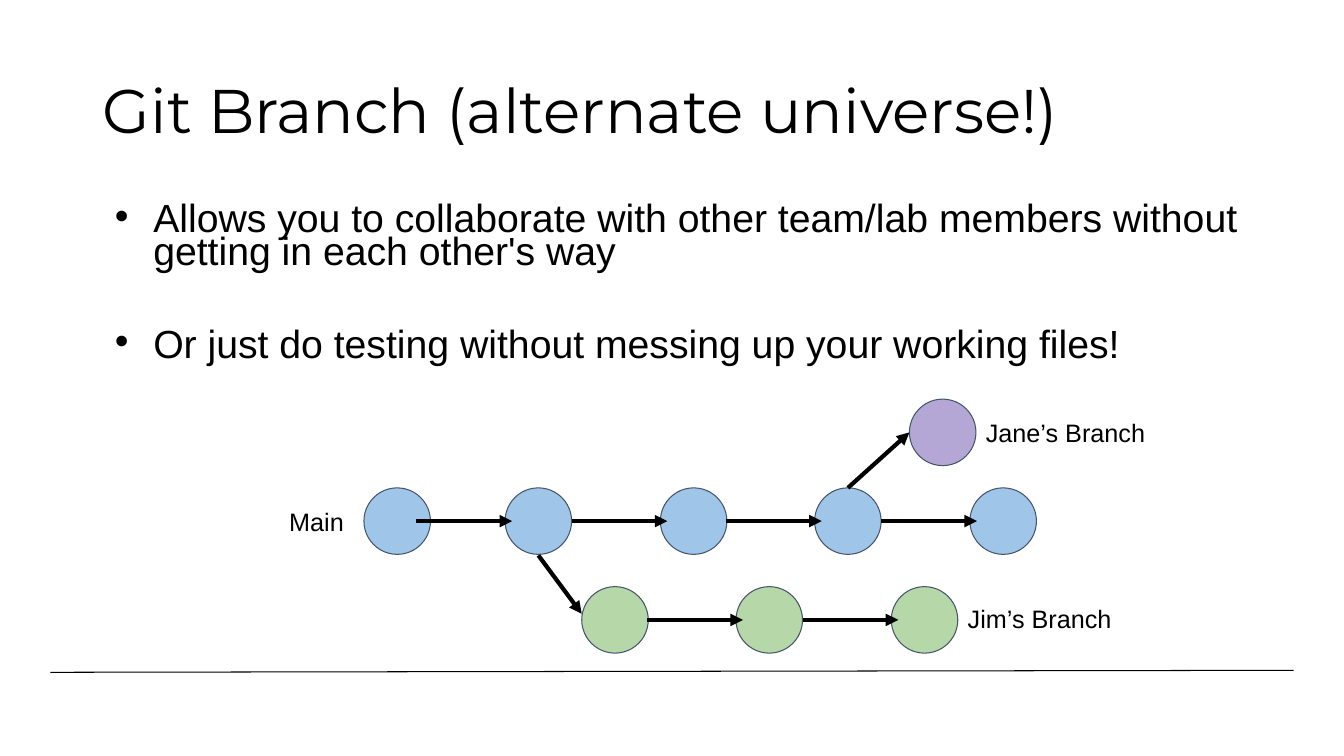
import pptx
import pptx.util
import pptx.dml.color
import pptx.enum.shapes
import pptx.enum.text
import pptx.oxml
import pptx.oxml.ns
from pptx.util import Inches


def color(hex_string):
    return pptx.dml.color.RGBColor.from_string(hex_string)


def add_line(start, end, width, arrow):
    connector = slide.shapes.add_connector(
        pptx.enum.shapes.MSO_CONNECTOR.STRAIGHT,
        Inches(start[0]), Inches(start[1]), Inches(end[0]), Inches(end[1]))
    connector.line.color.rgb = color("000000")
    connector.line.width = pptx.util.Pt(width)
    properties = connector._element.spPr
    properties.append(pptx.oxml.parse_xml(f"<a:effectLst {namespace}/>"))
    if arrow:
        connector.line._get_or_add_ln().append(
            pptx.oxml.parse_xml(f'<a:tailEnd {namespace} type="triangle"/>'))


namespace = pptx.oxml.ns.nsdecls("a")
presentation = pptx.Presentation()
presentation.slide_width = Inches(13.33)
presentation.slide_height = Inches(7.5)
slide = presentation.slides.add_slide(presentation.slide_layouts[1])

add_line((0.5, 6.67), (12.83, 6.65), 0.75, False)

title = slide.shapes.title
title.left, title.top, title.width, title.height = map(Inches, (0.92, 0.4, 11.5, 1.45))
title.text_frame.text = "Git Branch (alternate universe!)"
title.text_frame.vertical_anchor = pptx.enum.text.MSO_ANCHOR.MIDDLE
title.text_frame.auto_size = pptx.enum.text.MSO_AUTO_SIZE.NONE
paragraph = title.text_frame.paragraphs[0]
paragraph.alignment = pptx.enum.text.PP_ALIGN.LEFT
paragraph.line_spacing = 0.9
paragraph.font.name = "Montserrat"
paragraph.font.size = pptx.util.Pt(44)
paragraph.font.color.rgb = color("000000")

body = slide.placeholders[1]
body.left, body.top, body.width, body.height = map(Inches, (0.92, 2, 11.5, 1.75))
body.text_frame.auto_size = pptx.enum.text.MSO_AUTO_SIZE.NONE
body.text_frame.text = (
    "Allows you to collaborate with other team/lab members without getting in each other's way\n"
    "Or just do testing without messing up your working files!")
for paragraph, space_before in zip(body.text_frame.paragraphs, (0, 42.5)):
    paragraph.line_spacing = 0.7
    paragraph.space_before = pptx.util.Pt(space_before)
    properties = paragraph._p.get_or_add_pPr()
    properties.set("marL", str(Inches(0.5)))
    properties.set("indent", str(Inches(-0.38)))
    for bullet in (
            f'<a:buClr {namespace}><a:srgbClr val="000000"/></a:buClr>',
            f'<a:buFont {namespace} typeface="Arial"/>',
            f'<a:buChar {namespace} char="•"/>'):
        properties.append(pptx.oxml.parse_xml(bullet))
    paragraph.font.name = "Arial"
    paragraph.font.size = pptx.util.Pt(28)
    paragraph.font.color.rgb = color("000000")

diameter = 0.66
arrow_length = 0.95
arrow_overlap = 0.07
branches = [
    (4.84, "9FC5E8", (3.61, 5.01, 6.55, 8.08, 9.62)),
    (5.82, "B6D7A8", (5.77, 7.3, 8.84)),
    (3.96, "B4A7D6", (9.02,)),
]
for top, fill, commits in branches:
    for left in commits:
        commit = slide.shapes.add_shape(
            pptx.enum.shapes.MSO_SHAPE.OVAL,
            Inches(left), Inches(top), Inches(diameter), Inches(diameter))
        commit.shadow.inherit = False
        commit.fill.solid()
        commit.fill.fore_color.rgb = color(fill)
        commit.line.color.rgb = color("44546A")
        commit.line.width = pptx.util.Pt(0.75)
    middle = top + diameter / 2
    for left in commits[1:]:
        tip = left + arrow_overlap
        add_line((tip - arrow_length, middle), (tip, middle), 3, True)

add_line((5.34, 5.51), (5.77, 6.09), 3, True)
add_line((8.41, 4.84), (9.02, 4.29), 3, True)

labels = [
    ("Main", 2.77, 4.92, 0.95),
    ("Jane’s Branch", 9.68, 4.04, 2.8),
    ("Jim’s Branch", 9.5, 5.89, 2.8),
]
for text, left, top, width in labels:
    label = slide.shapes.add_textbox(Inches(left), Inches(top), Inches(width), Inches(0.5))
    frame = label.text_frame
    frame.word_wrap = True
    frame.auto_size = pptx.enum.text.MSO_AUTO_SIZE.SHAPE_TO_FIT_TEXT
    frame.margin_top = frame.margin_bottom = Inches(0.1)
    frame.text = text
    paragraph = frame.paragraphs[0]
    paragraph.font.name = "Arial"
    paragraph.font.size = pptx.util.Pt(18)
    paragraph.font.color.rgb = color("000000")

presentation.save("out.pptx")
